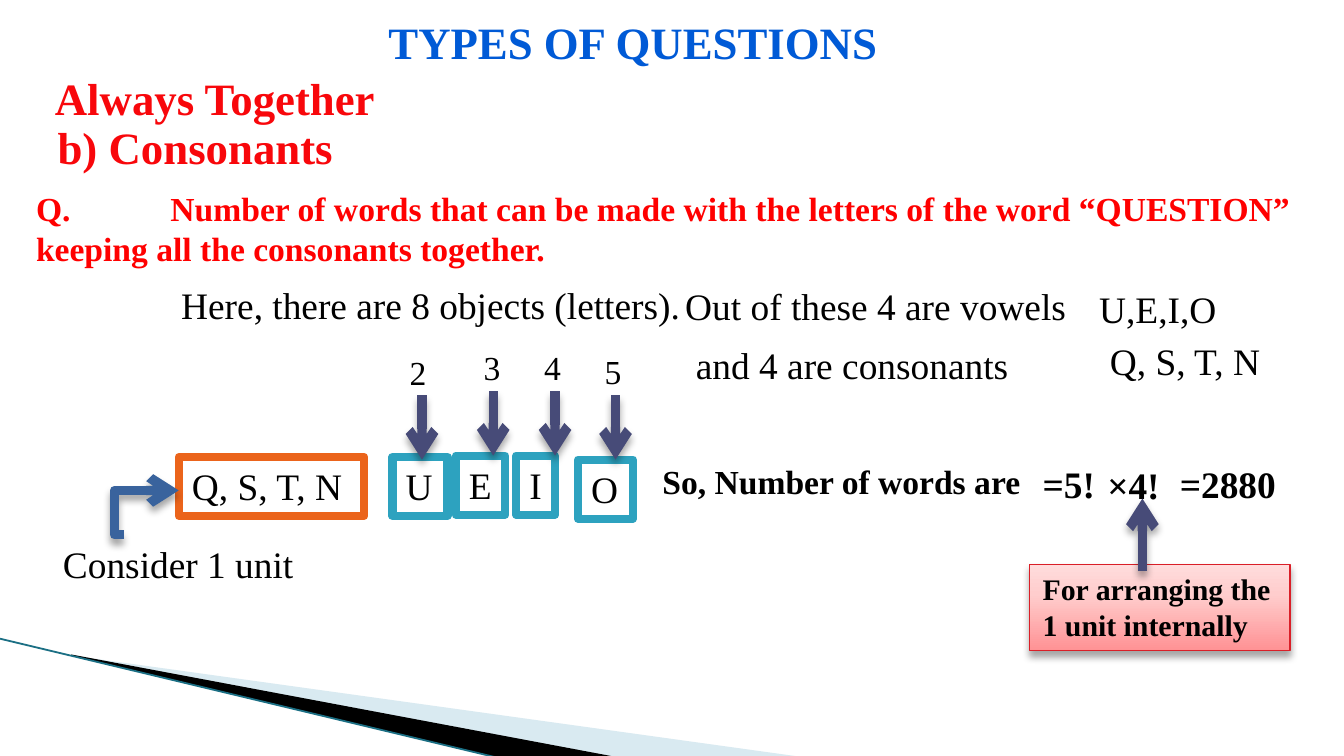
from copy import deepcopy
from dataclasses import dataclass

from lxml.etree import SubElement
from pptx import Presentation
from pptx.dml.color import RGBColor
from pptx.enum.shapes import MSO_CONNECTOR as Connector, MSO_SHAPE as Preset
from pptx.enum.text import MSO_ANCHOR as Anchor, MSO_AUTO_SIZE as AutoSize, PP_ALIGN as Align
from pptx.oxml.ns import qn
from pptx.util import Inches, Pt


@dataclass(frozen=True)
class Theme:
    font: str = "Times New Roman"
    heading: int = 24
    body: int = 20
    small: int = 18
    note: int = 16
    black: str = "000000"
    white: str = "FFFFFF"
    title: str = "005AD6"
    subtitle: str = "F8070B"
    question: str = "FF0000"
    unit: str = "EB641B"
    vowel: str = "2DA2BF"
    arrow: str = "474B78"
    elbow: str = "39639D"
    note_line: str = "DA1F28"
    note_stops: tuple = ((0, "FF9294"), (0.65, "FFCDCD"), (1, "FFDCDC"))
    wave: str = "A0CBDC"
    wave_line: str = "1B6F84"


THEME = Theme()


def rgb(color):
    return RGBColor.from_string(color)


def inches(*values):
    return [Inches(value) for value in values]


def add_tab_stop(paragraph, position):
    tabs = SubElement(paragraph._p.get_or_add_pPr(), qn("a:tabLst"))
    SubElement(tabs, qn("a:tab"), pos=str(Inches(position)), algn="l")


def write(shape, text, size=THEME.body, color=THEME.black, bold=False, wrap=False,
          align=Align.LEFT, tab_stop=None):
    frame = shape.text_frame
    frame.word_wrap = wrap
    frame.auto_size = AutoSize.SHAPE_TO_FIT_TEXT
    frame.vertical_anchor = Anchor.TOP
    paragraph = frame.paragraphs[0]
    paragraph.alignment = align
    if tab_stop:
        add_tab_stop(paragraph, tab_stop)
    run = paragraph.add_run()
    run.text = text
    run.font.name = THEME.font
    run.font.size = Pt(size)
    run.font.bold = bold
    run.font.color.rgb = rgb(color)


def add_text(slide, box, text, **style):
    write(slide.shapes.add_textbox(*inches(*box)), text, **style)


def add_box(slide, box, text, line, line_width=4.33, **style):
    shape = slide.shapes.add_shape(Preset.RECTANGLE, *inches(*box))
    shape.shadow.inherit = False
    shape.fill.solid()
    shape.fill.fore_color.rgb = rgb(THEME.white)
    shape.line.color.rgb = rgb(line)
    shape.line.width = Pt(line_width)
    write(shape, text, **style)
    return shape


def effect_list(shape):
    """Return the shape's effect list, adding an empty one if it has none."""
    properties = shape._element.spPr
    effects = properties.find(qn("a:effectLst"))
    return SubElement(properties, qn("a:effectLst")) if effects is None else effects


def add_shadow(shape):
    shadow = SubElement(effect_list(shape), qn("a:outerShdw"), blurRad=str(Pt(4)),
                        dist=str(Pt(3)), dir="5400000", rotWithShape="0")
    color = SubElement(shadow, qn("a:srgbClr"), val=THEME.black)
    SubElement(color, qn("a:alpha"), val="35000")


def add_line(slide, start, end, color, width, kind=Connector.STRAIGHT):
    line = slide.shapes.add_connector(kind, *inches(*start, *end))
    line.line.color.rgb = rgb(color)
    line.line.width = Pt(width)
    effect_list(line)
    return line


def add_arrow(slide, start, end, color=THEME.arrow, kind=Connector.STRAIGHT):
    arrow = add_line(slide, start, end, color, 5, kind)
    SubElement(arrow.line._get_or_add_ln(), qn("a:tailEnd"), type="arrow")
    add_shadow(arrow)
    return arrow


def add_polygon(slide, points, color, opacity=100):
    first, *rest = [tuple(inches(*point)) for point in points]
    builder = slide.shapes.build_freeform(*first)
    builder.add_line_segments(rest)
    shape = builder.convert_to_shape()
    shape.shadow.inherit = False
    shape.line.fill.background()
    shape.fill.solid()
    shape.fill.fore_color.rgb = rgb(color)
    color_element = shape._element.spPr.find(qn("a:solidFill"))[0]
    SubElement(color_element, qn("a:alpha"), val=str(opacity * 1000))


def add_wave(slide):
    add_polygon(slide, [(0.55, 4.88), (5.95, 5.63), (4.56, 5.63)], THEME.wave, 40)
    add_polygon(slide, [(0.53, 4.87), (4.57, 5.63), (3.72, 5.64), (0.54, 4.88)], THEME.black)
    add_line(slide, (-0.01, 4.75), (3.71, 5.64), THEME.wave_line, 0.95)


def add_headings(slide):
    title = slide.shapes.title
    title.left, title.top, title.width, title.height = inches(2.79, 0.06, 3.96, 0.5)
    write(title, "TYPES OF QUESTIONS", THEME.heading, THEME.title, bold=True)
    for box, text in (((0.31, 0.48, 2.61, 0.5), "Always Together"),
                      ((0.33, 0.84, 2.25, 0.5), "b) Consonants")):
        add_text(slide, box, text, size=THEME.heading, color=THEME.subtitle, bold=True)
    add_text(slide, (0.17, 1.35, 9.67, 0.71),
             "Q.\tNumber of words that can be made with the letters of the word “QUESTION” "
             "\tkeeping all the consonants together.",
             size=THEME.small, color=THEME.question, bold=True, wrap=True,
             align=Align.JUSTIFY, tab_stop=1)


def add_facts(slide):
    for left, top, width, text, wrap in (
        (1.25, 2.05, 4.04, "Here, there are 8 objects (letters).", True),
        (5, 2.06, 3.09, "Out of these 4 are vowels", True),
        (5.08, 2.5, 2.54, "and 4 are consonants", False),
        (8.08, 2.08, 1.58, "U,E,I,O", True),
        (8.16, 2.47, 1.33, "Q, S, T, N", False),
    ):
        add_text(slide, (left, top, width, 0.44), text, wrap=wrap)


def add_consonant_unit(slide):
    add_box(slide, (1.33, 3.4, 1.38, 0.44), "Q, S, T, N", THEME.unit, wrap=True)
    add_text(slide, (0.37, 3.98, 1.93, 0.44), "Consider 1 unit")
    elbow = add_arrow(slide, (0.92, 3.98), (1.33, 3.65), THEME.elbow, Connector.ELBOW)
    geometry = elbow._element.spPr.find(qn("a:prstGeom"))
    SubElement(geometry.find(qn("a:avLst")), qn("a:gd"), name="adj1", fmla="val -17000")


def add_vowels(slide):
    """Draw each vowel box with its object number and an arrow between them."""
    for number, (letter, left, top, width, number_left, number_top, arrow_x, arrow_top) in enumerate((
        ("U", 2.92, 3.4, 0.41, 2.95, 2.57, 3.14, 2.94),
        ("E", 3.39, 3.39, 0.37, 3.5, 2.53, 3.67, 2.91),
        ("I", 3.84, 3.39, 0.29, 3.95, 2.53, 4.13, 2.91),
        ("O", 4.3, 3.42, 0.41, 4.4, 2.56, 4.58, 2.94),
    ), start=2):
        add_box(slide, (left, top, width, 0.44), letter, THEME.vowel)
        add_text(slide, (number_left, number_top, 0.33, 0.4), str(number),
                 size=THEME.small, wrap=True)
        add_arrow(slide, (arrow_x, arrow_top), (arrow_x, arrow_top + 0.48))


def add_answer(slide):
    add_text(slide, (4.83, 3.38, 2.92, 0.4), "So, Number of words are",
             size=THEME.small, bold=True, wrap=True)
    for left, top, width, text in ((7.66, 3.38, 0.59, "=5!"), (8.14, 3.39, 0.59, "×4!"),
                                   (8.68, 3.38, 0.92, "=2880")):
        add_text(slide, (left, top, width, 0.44), text, bold=True)
    note = add_box(slide, (7.66, 4.2, 1.94, 0.64), "For arranging the 1 unit internally",
                   THEME.note_line, 0.75, size=THEME.note, bold=True, wrap=True)
    note.fill.gradient()
    note.fill.gradient_angle = 90
    stop_list = note._element.spPr.find(qn("a:gradFill")).find(qn("a:gsLst"))
    stop_list.append(deepcopy(stop_list[-1]))
    for stop, (position, color) in zip(note.fill.gradient_stops, THEME.note_stops):
        stop.position = position
        stop.color.rgb = rgb(color)
    add_shadow(note)
    add_arrow(slide, (8.5, 4.25), (8.5, 3.71))


def main():
    presentation = Presentation()
    presentation.slide_width = Inches(10)
    presentation.slide_height = Inches(10) * 9 // 16
    slide = presentation.slides.add_slide(presentation.slide_layouts.get_by_name("Title Only"))
    add_wave(slide)
    add_headings(slide)
    add_facts(slide)
    add_consonant_unit(slide)
    add_vowels(slide)
    add_answer(slide)
    presentation.save("out.pptx")


if __name__ == "__main__":
    main()
